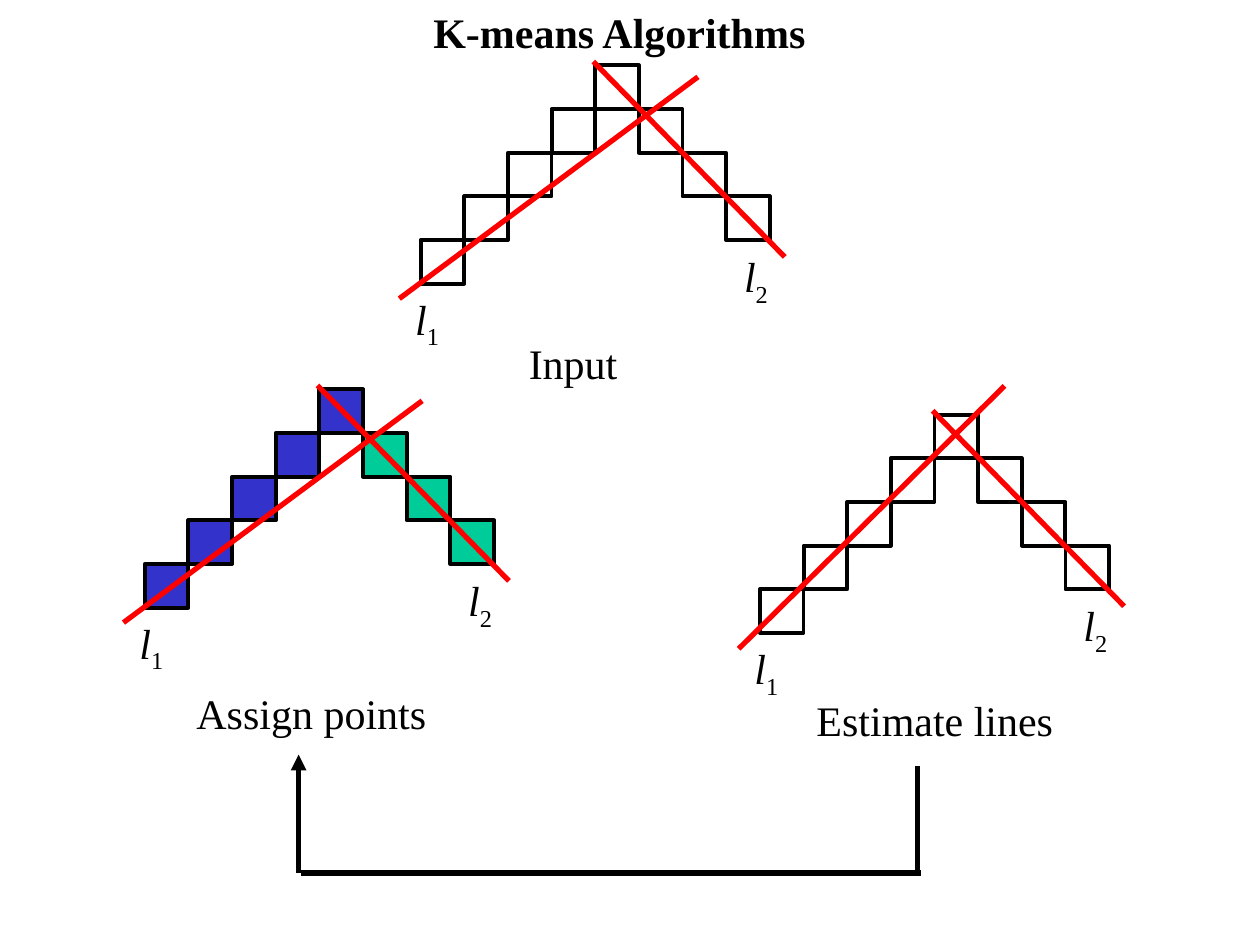
import pptx
import pptx.util
import pptx.dml.color
import pptx.enum.shapes
import pptx.enum.text
import pptx.oxml
import pptx.oxml.ns
import lxml.etree

Cm = pptx.util.Cm
Pt = pptx.util.Pt
RGBColor = pptx.dml.color.RGBColor

BLACK = RGBColor(0x00, 0x00, 0x00)
RED = RGBColor(0xFF, 0x00, 0x00)
BLUE = RGBColor(0x33, 0x33, 0xCC)
GREEN = RGBColor(0x00, 0xCC, 0x99)
FONT = "Times New Roman"
SIDE = 0.88
RISE = 4
COUNT = 8


def write(shape, text, sub="", bold=False, italic=False, size=24):
    frame = shape.text_frame
    frame.word_wrap = False
    frame.auto_size = pptx.enum.text.MSO_AUTO_SIZE.SHAPE_TO_FIT_TEXT
    frame.vertical_anchor = pptx.enum.text.MSO_ANCHOR.TOP
    para = frame.paragraphs[0]
    para.alignment = pptx.enum.text.PP_ALIGN.LEFT
    for part, slant in ((text, italic), (sub, False)):
        if not part:
            continue
        run = para.add_run()
        run.text = part
        run.font.name = FONT
        run.font.size = Pt(size)
        run.font.bold = bold
        run.font.italic = slant
        run.font.color.rgb = BLACK
        if part is sub:
            run._r.get_or_add_rPr().set("baseline", "-25000")


def label(shapes, left, top, width, height, text, **form):
    box = shapes.add_textbox(Cm(left), Cm(top), Cm(width), Cm(height))
    write(box, text, **form)


def stroke(shapes, start, end, color, arrow=False):
    line = shapes.add_connector(
        pptx.enum.shapes.MSO_CONNECTOR.STRAIGHT,
        Cm(start[0]), Cm(start[1]), Cm(end[0]), Cm(end[1]))
    line.line.color.rgb = color
    line.line.width = Pt(3)
    tag = pptx.oxml.ns.qn
    if arrow:
        lxml.etree.SubElement(line.line._get_or_add_ln(), tag("a:tailEnd"), type="triangle")
    lxml.etree.SubElement(line._element.spPr, tag("a:effectLst"))


def square(shapes, left, top, color):
    box = shapes.add_shape(
        pptx.enum.shapes.MSO_SHAPE.RECTANGLE,
        Cm(left), Cm(top), Cm(SIDE), Cm(SIDE))
    box.shadow.inherit = False
    box.line.color.rgb = BLACK
    box.line.width = Pt(2.25)
    if color is None:
        box.fill.background()
    else:
        box.fill.solid()
        box.fill.fore_color.rgb = color


def stairs(slide, left, top, name, spot, width, fills=(None, None),
           start=(-0.43, 4.7), end=(5.59, 0.23)):
    shapes = slide.shapes.add_group_shape().shapes

    def place(point):
        return left + point[0], top + point[1]

    for step in range(COUNT):
        square(shapes, left + step * SIDE, top + abs(step - RISE) * SIDE,
               fills[step > RISE])
    stroke(shapes, place(start), place(end), RED)
    stroke(shapes, place((3.48, -0.08)), place((7.34, 3.86)), RED)
    for sub, point in (("2", (6.27, 3.61)), ("1", (-0.36, 4.47))):
        label(shapes, *place(point), 0.99, 1.42, "l", sub=sub, italic=True)
    label(shapes, *place(spot), width, 1.27, name)


def loop(slide, left, top, width, height):
    right, base = left + width, top + height
    shapes = slide.shapes
    stroke(shapes, (right, top + 0.23), (right, base), BLACK)
    stroke(shapes, (right + 0.08, base), (left + 0.05, base), BLACK)
    stroke(shapes, (left, base), (left, top), BLACK, arrow=True)


def head(slide, left, top, width, height):
    title = slide.shapes.title
    title.left, title.top = Cm(left), Cm(top)
    title.width, title.height = Cm(width), Cm(height)
    write(title, "K-means Algorithms", bold=True)


def main():
    deck = pptx.Presentation()
    deck.slide_width, deck.slide_height = Cm(25.4), Cm(19.05)
    slide = deck.slides.add_slide(deck.slide_layouts.get_by_name("Title Only"))
    head(slide, 8.48, 0, 8.05, 1.27)
    stairs(slide, 8.48, 1.32, "Input", (1.93, 5.36), 2.35)
    stairs(slide, 2.92, 7.85, "Assign points", (0.79, 5.89), 5.25,
           fills=(BLUE, GREEN))
    stairs(slide, 15.32, 8.36, "Estimate lines", (0.89, 5.51), 5.4,
           start=(-0.43, 4.72), end=(4.93, -0.58))
    loop(slide, 6.02, 15.21, 12.47, 2.39)
    deck.save("out.pptx")


if __name__ == "__main__":
    main()
